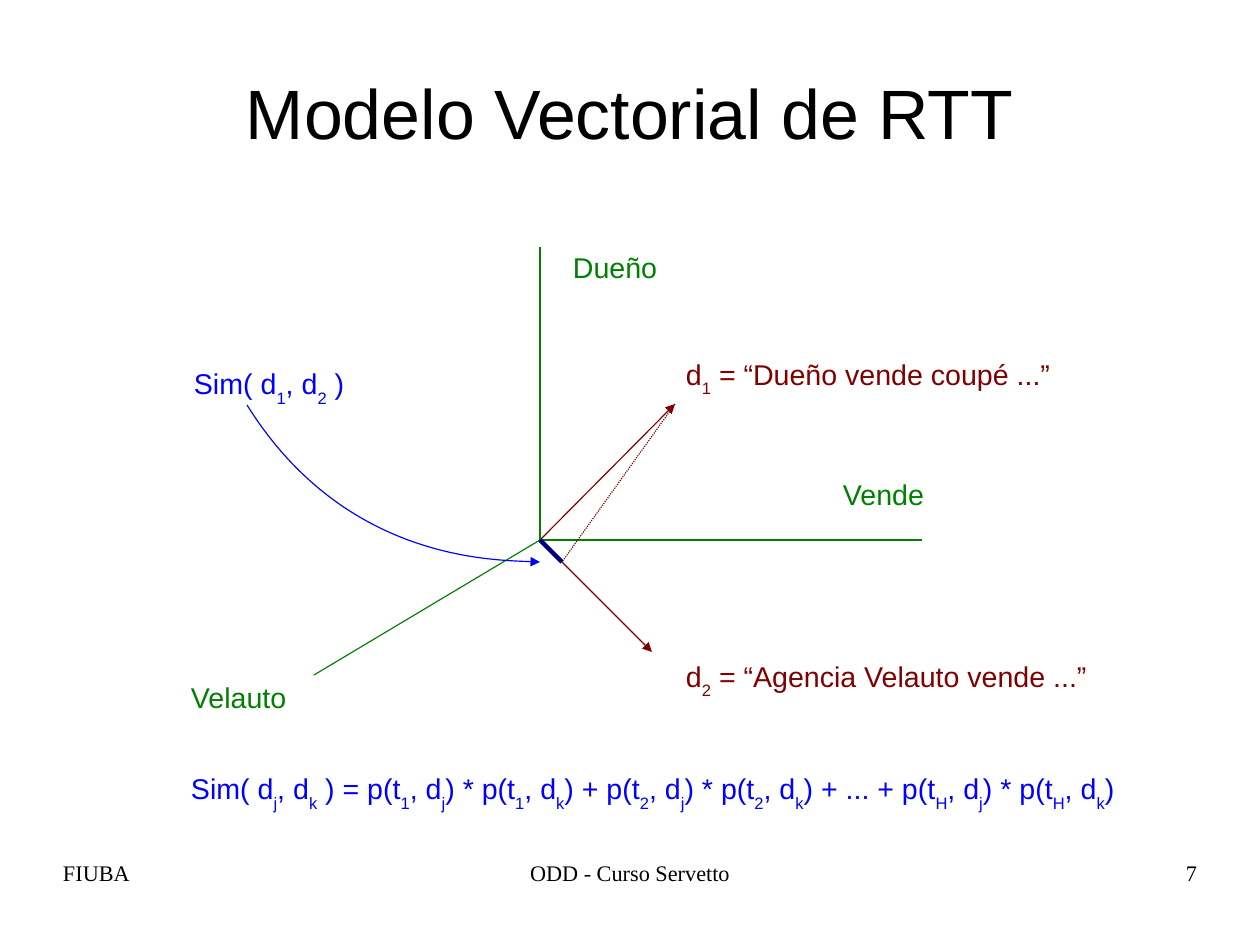
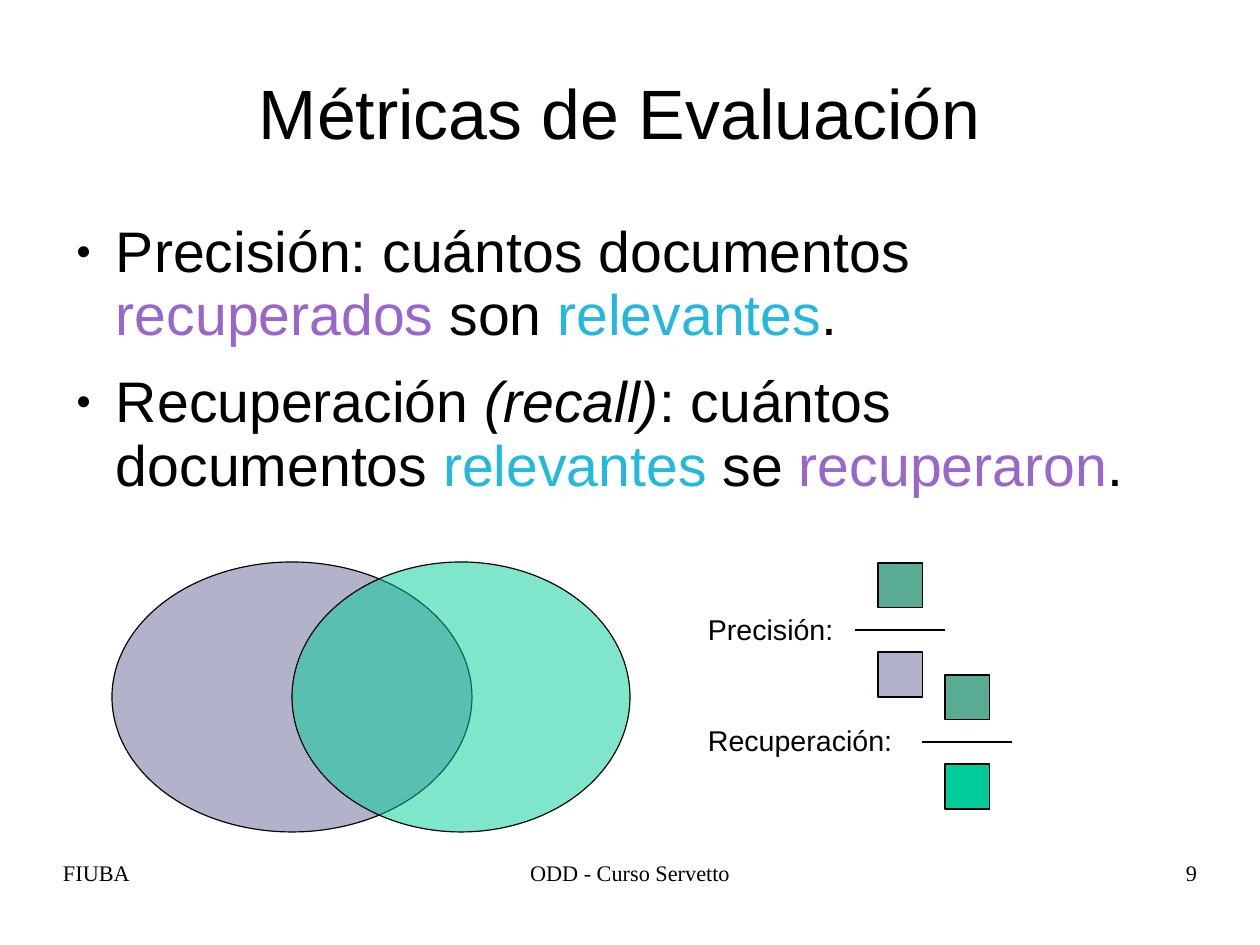
"""Builds two course slides: the vector model and the evaluation metrics."""
from lxml.etree import SubElement
from pptx import Presentation
from pptx.dml.color import RGBColor
from pptx.enum.dml import MSO_LINE
from pptx.enum.shapes import MSO_CONNECTOR, MSO_SHAPE
from pptx.enum.text import MSO_ANCHOR, PP_ALIGN
from pptx.oxml.ns import qn
from pptx.util import Pt

INK = {
    "black": "000000", "green": "008000", "maroon": "800000", "navy": "000080",
    "blue": "0000FF", "violet": "9966CC", "cyan": "23B8DC",
    "slate": "666699", "mint": "00CC99", "blend": "59AC93",
}
WIDE, HIGH = 1260, 945
EDGE = 63
SPAN = WIDE - 2 * EDGE
FOOT = [
    ("FIUBA", EDGE, 293, PP_ALIGN.LEFT),
    ("ODD - Curso Servetto", 431, 398, PP_ALIGN.CENTER),
    (None, 904, 293, PP_ALIGN.RIGHT),
]

ZERO, FIRST, NEXT, NEAR = (540, 540), (675, 404), (652, 652), (562, 562)
LINES = [
    (ZERO, FIRST, "maroon", {"arrow": True}),
    (ZERO, NEXT, "maroon", {"arrow": True}),
    (ZERO, (922, 540), "green", {}),
    ((540, 247), ZERO, "green", {}),
    (ZERO, (314, 675), "green", {}),
    (FIRST, NEAR, "maroon", {"dash": MSO_LINE.ROUND_DOT}),
    (ZERO, NEAR, "navy", {"size": 2.83}),
]
CURVE = [(247, 405), (345, 562), (540, 562), (540, 562)]
SUM = " + ".join(
    "..." if key == "." else f"p(t_{key}, d_j) * p(t_{key}, d_k)" for key in "12.H"
)
LABELS = [
    ("Dueño", (562, 247, 202, 44), "green", (11, 6)),
    ("Vende", (832, 474, 135, 44), "green", (11, 6)),
    ("Velauto", (180, 677, 135, 44), "green", (11, 6)),
    ("d_1 = “Dueño vende coupé ...”", (675, 351, 428, 54), "maroon", (11, 6)),
    ("d_2 = “Agencia Velauto vende ...”", (675, 653, 472, 54), "maroon", (11, 6)),
    ("Sim( d_1, d_2 )", (180, 358, 225, 58), "blue", (14, 8)),
    ("Sim( d_j, d_k ) = " + SUM, (180, 765, 967, 67), "blue", (11, 6)),
]

POINTS = [
    [("Precisión: cuántos documentos ", ""), ("recuperados", "violet"),
     (" son ", ""), ("relevantes", "cyan"), (".", "")],
    [("Recuperación ", ""), ("(recall)", "italic"), (": cuántos documentos ", ""),
     ("relevantes", "cyan"), (" se ", ""), ("recuperaron", "violet"), (".", "")],
]
SETS = [((112, 562, 360, 270), "slate"), ((292, 562, 338, 270), "mint")]
RATIOS = [
    ("Precisión:", 609, 180, (900, 630), ("slate", 50)),
    ("Recuperación:", 720, 225, (967, 742), ("mint", 100)),
]
BAR, SIDE, GAP = 90, 45, 22


def px(num):
    return round(num * 8000)


def tint(name):
    return RGBColor.from_string(INK[name])


def split(text):
    head, *rest = text.split("_")
    runs = [(head, "")]
    for part in rest:
        runs += [(part[0], "sub"), (part[1:], "")]
    return [run for run in runs if run[0]]


def write(slide, paras, box, size=18, color="black", font="Arial", pad=(0, 0),
          align=PP_ALIGN.LEFT, anchor=MSO_ANCHOR.TOP, lead=0.93, bullet=False):
    frame = slide.shapes.add_textbox(*map(px, box)).text_frame
    frame.word_wrap = True
    frame.vertical_anchor = anchor
    frame.margin_left = frame.margin_right = px(pad[0])
    frame.margin_top = frame.margin_bottom = px(pad[1])
    if isinstance(paras, str):
        paras = [split(paras)]
    for num, runs in enumerate(paras):
        para = frame.add_paragraph() if num else frame.paragraphs[0]
        para.alignment = align
        para.line_spacing = lead
        if bullet:
            para.space_after = Pt(14.3)
            props = para._p.get_or_add_pPr()
            props.set("marL", str(px(53)))
            props.set("indent", str(px(-40)))
            SubElement(props, qn("a:buSzPct")).set("val", "45000")
            SubElement(props, qn("a:buFont")).set("typeface", font)
            SubElement(props, qn("a:buChar")).set("char", "●")
        for text, style in runs:
            run = para.add_run()
            run.text = text
            run.font.name = font
            run.font.size = Pt(size)
            run.font.color.rgb = tint(style if style in INK else color)
            if style == "italic":
                run.font.italic = True
            if style == "sub":
                run._r.get_or_add_rPr().set("baseline", "-33000")


def stroke(shape, color="black", size=0.75, dash=None, arrow=False):
    shape.line.color.rgb = tint(color)
    shape.line.width = Pt(size)
    if dash:
        shape.line.dash_style = dash
    if arrow:
        SubElement(shape.line._get_or_add_ln(), qn("a:tailEnd")).set("type", "triangle")


def link(slide, start, end, color="black", **look):
    line = slide.shapes.add_connector(
        MSO_CONNECTOR.STRAIGHT, *map(px, start + end))
    stroke(line, color, **look)
    SubElement(line._element.spPr, qn("a:effectLst"))


def shape(slide, kind, box, fill, alpha=100):
    item = slide.shapes.add_shape(kind, *map(px, box))
    item.shadow.inherit = False
    item.fill.solid()
    item.fill.fore_color.rgb = tint(fill)
    if alpha < 100:
        tone = item._element.spPr.find(".//" + qn("a:srgbClr"))
        SubElement(tone, qn("a:alpha")).set("val", str(alpha * 1000))
    stroke(item)


def bend(slide, spots, color):
    form = slide.shapes.build_freeform(*map(px, spots[0]))
    form.add_line_segments([tuple(map(px, spot)) for spot in spots[1:]], close=False)
    item = form.convert_to_shape()
    item.shadow.inherit = False
    item.fill.background()
    stroke(item, color, arrow=True)
    legs = item._element.spPr.findall(".//" + qn("a:lnTo"))
    cubic = SubElement(legs[0].getparent(), qn("a:cubicBezTo"))
    for leg in legs:
        cubic.append(leg[0])
        leg.getparent().remove(leg)


def start(deck, title, page):
    slide = deck.slides.add_slide(deck.slide_layouts[6])
    write(slide, title, (EDGE, 43, SPAN, 146), size=44,
          align=PP_ALIGN.CENTER, anchor=MSO_ANCHOR.MIDDLE)
    for text, left, width, align in FOOT:
        write(slide, text or str(page), (left, 861, width, 64), size=14,
              font="Times New Roman", align=align, lead=0.95)
    return slide


def model(deck):
    slide = start(deck, "Modelo Vectorial de RTT", 7)
    for begin, end, color, look in LINES:
        link(slide, begin, end, color, **look)
    bend(slide, CURVE, "blue")
    for text, box, color, pad in LABELS:
        write(slide, text, box, color=color, pad=pad)


def metrics(deck):
    slide = start(deck, "Métricas de Evaluación ", 9)
    write(slide, POINTS, (EDGE, 221, SPAN, 319), size=36, bullet=True)
    for box, fill in SETS:
        shape(slide, MSO_SHAPE.OVAL, box, fill, 50)
    for text, top, width, (mid, row), (fill, alpha) in RATIOS:
        write(slide, text, (697, top, width, 44), pad=(11, 6))
        link(slide, (mid - BAR // 2, row), (mid + BAR // 2, row))
        left = mid - SIDE // 2
        shape(slide, MSO_SHAPE.RECTANGLE, (left, row - GAP - SIDE, SIDE, SIDE), "blend")
        shape(slide, MSO_SHAPE.RECTANGLE, (left, row + GAP, SIDE, SIDE), fill, alpha)


def main():
    deck = Presentation()
    deck.slide_width, deck.slide_height = px(WIDE), px(HIGH)
    model(deck)
    metrics(deck)
    deck.save("out.pptx")


if __name__ == "__main__":
    main()
